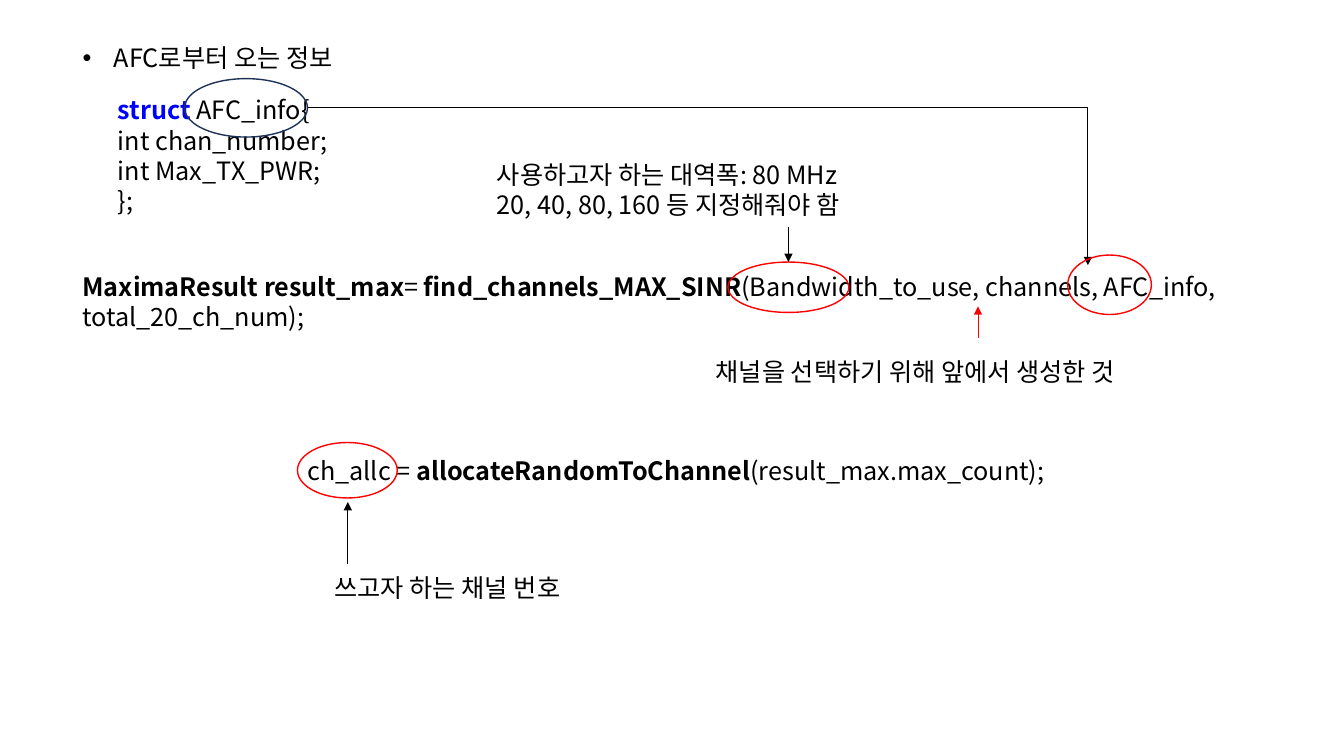
import pptx
import pptx.util
import pptx.dml.color
import pptx.enum.shapes
import pptx.enum.text
import pptx.oxml.ns
import lxml.etree

COLUMNS, ROWS = 133.3, 75
BLACK, RED, BLUE, NAVY = "000000", "FF0000", "0000FF", "1E3256"


def color(value):
    return pptx.dml.color.RGBColor.from_string(value)


def add_run(paragraph, text, fill=BLACK, bold=False, size=18, font="Noto Sans CJK KR"):
    run = paragraph.add_run()
    run.text = text
    run.font.size = pptx.util.Pt(size)
    run.font.bold = bold
    run.font.name = font
    run.font.color.rgb = color(fill)
    east_asian = lxml.etree.SubElement(run._r.rPr, pptx.oxml.ns.qn("a:ea"))
    east_asian.set("typeface", font)


class Sketch:
    def __init__(self, deck):
        self.cell_width = deck.slide_width / COLUMNS
        self.cell_height = deck.slide_height / ROWS
        self.slide = deck.slides.add_slide(deck.slide_layouts[1])
        title = self.slide.shapes.title._element
        title.getparent().remove(title)

    def point(self, column, row):
        return round(column * self.cell_width), round(row * self.cell_height)

    def bullet(self, column, row, width, height, text):
        topic = self.slide.placeholders[1]
        topic.left, topic.top = self.point(column, row)
        topic.width, topic.height = self.point(width, height)
        topic.text_frame.auto_size = pptx.enum.text.MSO_AUTO_SIZE.NONE
        paragraph = topic.text_frame.paragraphs[0]
        paragraph.space_before = pptx.util.Pt(0)
        indent = round(3.1 * self.cell_width)
        paragraph._p.get_or_add_pPr().set("marL", str(indent))
        paragraph._p.get_or_add_pPr().set("indent", str(-indent))
        add_run(paragraph, text)

    def text(self, column, row, width, height, lines, wrap=True):
        box = self.slide.shapes.add_textbox(
            *self.point(column, row), *self.point(width, height))
        frame = box.text_frame
        frame.word_wrap = wrap
        for index, line in enumerate(lines):
            paragraph = frame.add_paragraph() if index else frame.paragraphs[0]
            for words, style in line:
                add_run(paragraph, words, **style)

    def note(self, column, row, width, height, *lines):
        self.text(column, row, width, height, [[(line, {})] for line in lines], wrap=False)

    def ring(self, column, row, width, height, outline=RED):
        oval = self.slide.shapes.add_shape(
            pptx.enum.shapes.MSO_SHAPE.OVAL,
            *self.point(column, row), *self.point(width, height))
        oval.shadow.inherit = False
        oval.fill.background()
        oval.line.color.rgb = color(outline)
        oval.line.width = pptx.util.Pt(1)

    def line(self, start, end, stroke=BLACK, weight=0.5, arrow=True):
        connector = self.slide.shapes.add_connector(
            pptx.enum.shapes.MSO_CONNECTOR.STRAIGHT, *self.point(*start), *self.point(*end))
        connector.line.color.rgb = color(stroke)
        connector.line.width = pptx.util.Pt(weight)
        if arrow:
            head = lxml.etree.SubElement(
                connector.line._get_or_add_ln(), pptx.oxml.ns.qn("a:tailEnd"))
            head.set("type", "triangle")
        lxml.etree.SubElement(connector._element.spPr, pptx.oxml.ns.qn("a:effectLst"))


def main():
    deck = pptx.Presentation()
    deck.slide_width = pptx.util.Inches(13.33)
    deck.slide_height = pptx.util.Inches(7.5)
    sketch = Sketch(deck)
    bold = {"bold": True}

    sketch.text(7.2, 26.4, 119.6, 7.1, [[
        ("MaximaResult result_max", bold),
        ("= ", {}),
        ("find_channels_MAX_SINR", bold),
        ("(Bandwidth_to_use, channels, AFC_info, total_20_ch_num);", {}),
    ]])
    sketch.bullet(7.2, 3.7, 29.2, 4, "AFC로부터 오는 정보")
    sketch.text(10.7, 8.9, 30.7, 13.1, [
        [("struct", {"fill": BLUE, "bold": True}), (" AFC_info{", {})],
        [("int chan_number;", {})],
        [("int Max_TX_PWR;", {})],
        [("};", {})],
    ])
    sketch.ring(18.3, 7.8, 12.2, 5.8, NAVY)

    info_corner = (107.9, 10.7)
    sketch.line(info_corner, (107.9, 26.3), weight=0.75)
    sketch.line((30.5, 10.7), info_corner, weight=0.75, arrow=False)
    sketch.ring(105.9, 25.3, 8.3, 5.9)

    sketch.note(70, 34.9, 46.9, 4, "채널을 선택하기 위해 앞에서 생성한 것")
    sketch.line((97, 33.5), (97, 30.4), RED)

    sketch.ring(72.2, 26, 12, 5)
    sketch.note(48.3, 15.3, 39.5, 7.1,
                "사용하고자 하는 대역폭: 80 MHz", "20, 40, 80, 160 등 지정해줘야 함")
    sketch.line((78.2, 22.5), (78.2, 26))

    sketch.text(29.5, 44.7, 102.8, 4, [[
        ("ch_allc = ", {}),
        ("allocateRandomToChannel", bold),
        ("(result_max.max_count);", {}),
    ]])
    sketch.ring(29.5, 43.9, 9.9, 5.5)
    sketch.line((34.5, 56), (34.5, 49.8))
    sketch.note(32.2, 56.3, 27.4, 4, "쓰고자 하는 채널 번호")

    deck.save("out.pptx")


if __name__ == "__main__":
    main()
